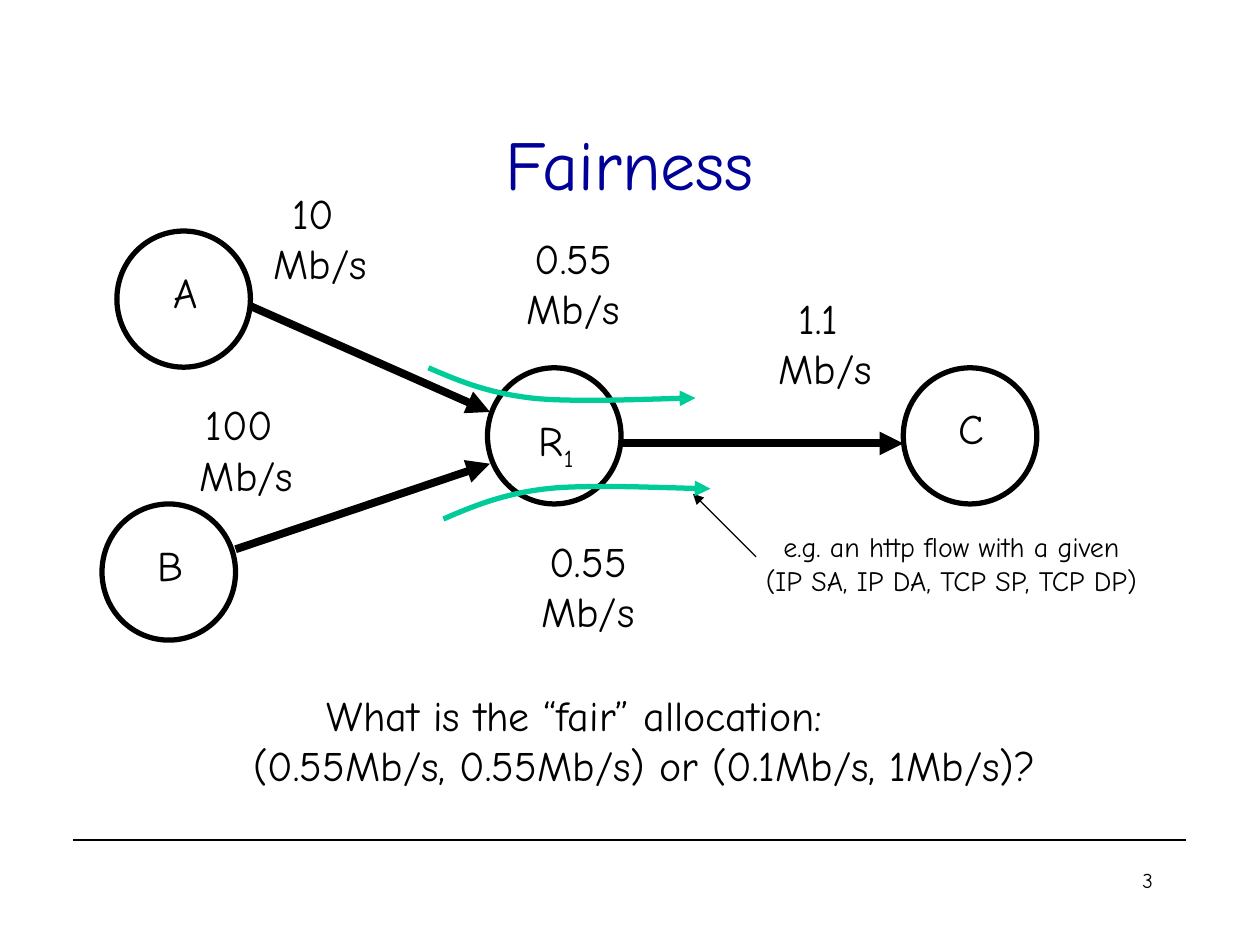
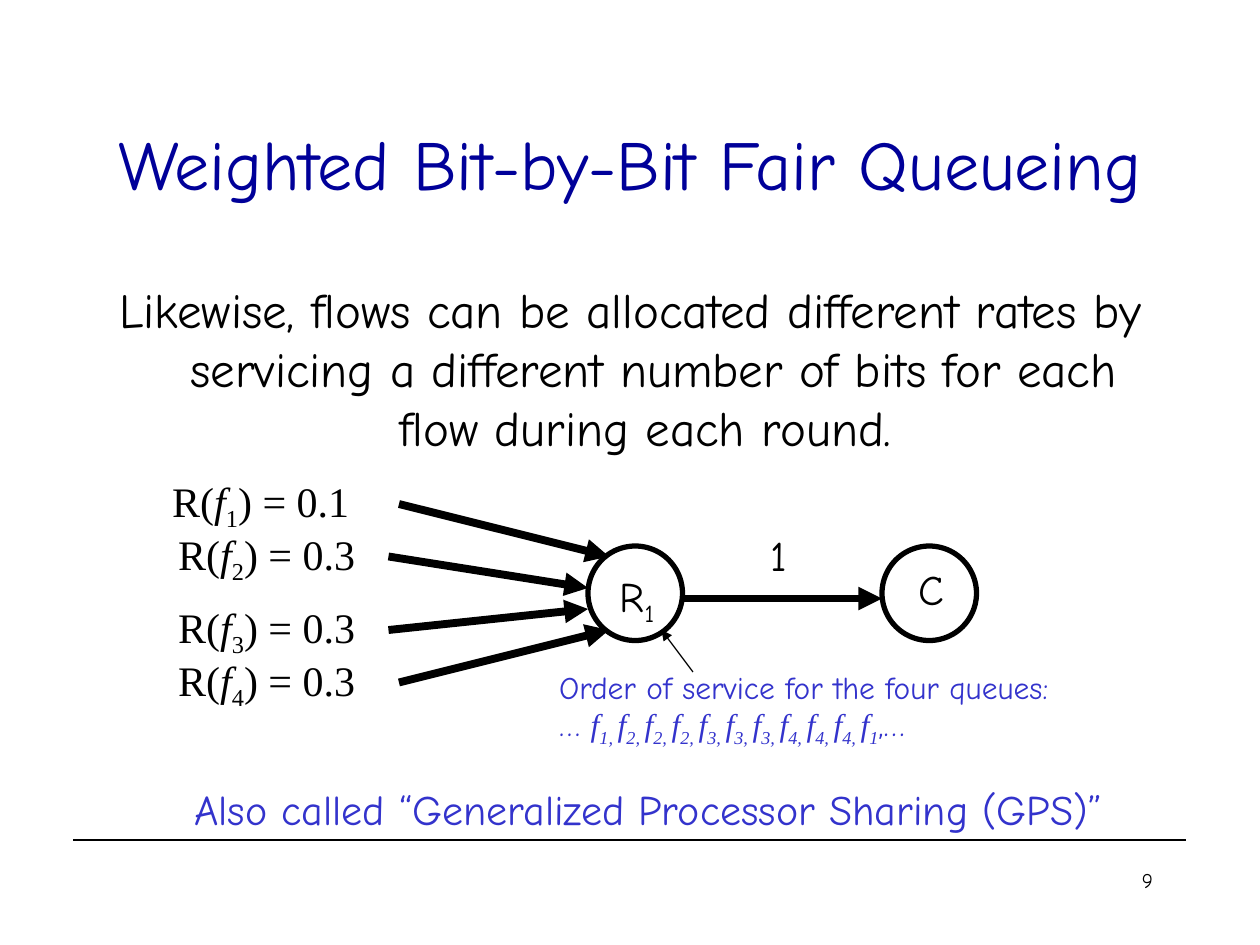
"""Builds two slides on fair bandwidth sharing and weighted fair queueing."""
from dataclasses import dataclass, field
from typing import Any

from pptx import Presentation
from pptx.dml.color import RGBColor
from pptx.enum.shapes import MSO_CONNECTOR as CONN, MSO_SHAPE as SHAPE
from pptx.enum.text import MSO_ANCHOR as ANCHOR, MSO_AUTO_SIZE as FIT, PP_ALIGN as ALIGN
from pptx.oxml.ns import qn
from pptx.oxml.xmlchemy import OxmlElement
from pptx.slide import Slide
from pptx.util import Pt

Point = tuple[float, float]


@dataclass(frozen=True)
class Theme:
    font: str = "Comic Neue"
    math_font: str = "Times New Roman"
    ink: str = "000000"
    title: str = "000099"
    accent: str = "3333CC"
    flow: str = "00CC99"
    title_size: float = 40
    body_size: float = 28
    label_size: float = 24
    order_size: float = 18
    note_size: float = 16
    number_size: float = 12
    link_width: float = 4.5
    outline_width: float = 3
    thin_width: float = 0.7


THEME = Theme()


@dataclass(frozen=True)
class Run:
    text: str
    sub: bool = False
    fmt: dict[str, Any] = field(default_factory=dict)


@dataclass(frozen=True)
class Para:
    runs: list[Run]
    left: float = 0
    first: float = 0
    before: float = 0


@dataclass(frozen=True)
class Label:
    left: float
    top: float
    width: float
    height: float
    paras: list[Para]
    size: float = THEME.label_size
    color: str = THEME.ink
    align: ALIGN = ALIGN.CENTER
    anchor: ANCHOR = ANCHOR.MIDDLE
    wrap: bool = False


@dataclass(frozen=True)
class Node:
    left: float
    top: float
    width: float
    height: float
    runs: list[Run]
    label_shift: float


@dataclass(frozen=True)
class Arrow:
    start: Point
    end: Point
    width: float = THEME.link_width
    head: bool = True


@dataclass(frozen=True)
class Flow:
    start: Point
    bend: int


MATH = {"name": THEME.math_font}
MATH_ITALIC = {"name": THEME.math_font, "italic": True}
ROUTER = [Run("R"), Run("1", sub=True)]
FLOW_CURVES = [
    [(0, 0), (16.6, 7.2), (33.8, 14.4), (59, 17.3)],
    [(59, 17.3), (84.6, 20.2), (136.8, 17.3), (152.6, 17.3)],
]
CURVE_STEPS = 16


def plain(*lines: str) -> list[Para]:
    """Make one plain paragraph of each line."""
    return [Para([Run(line)]) for line in lines]


def add_label(slide: Slide, label: Label) -> None:
    """Draw a text box."""
    s = slide.shapes.add_textbox(
        *map(Pt, (label.left, label.top, label.width, label.height)))
    tf = s.text_frame
    frame = {"word_wrap": label.wrap, "vertical_anchor": label.anchor,
             "auto_size": FIT.NONE if label.wrap else FIT.SHAPE_TO_FIT_TEXT}
    for name, value in frame.items():
        setattr(tf, name, value)
    for i, para in enumerate(label.paras):
        p = tf.add_paragraph() if i else tf.paragraphs[0]
        for name, value in {"alignment": label.align, "space_before": Pt(para.before)}.items():
            setattr(p, name, value)
        if para.left:
            pPr = p._p.get_or_add_pPr()
            pPr.set("marL", str(Pt(para.left)))
            pPr.set("indent", str(Pt(para.first)))
        for run in para.runs:
            r = p.add_run()
            r.text = run.text
            base = {"name": THEME.font, "size": Pt(label.size)}
            for name, value in (base | run.fmt).items():
                setattr(r.font, name, value)
            r.font.color.rgb = RGBColor.from_string(label.color)
            if run.sub:
                r._r.get_or_add_rPr().set("baseline", "-25000")


def style_line(s: Any, color: str, width: float, head: bool = False) -> None:
    """Set the line of a shape, with an arrowhead if wanted."""
    s.line.color.rgb = RGBColor.from_string(color)
    s.line.width = Pt(width)
    if head:
        tail = OxmlElement("a:tailEnd")
        tail.set("type", "triangle")
        s._element.spPr.find(qn("a:ln")).append(tail)


def add_arrow(slide: Slide, arrow: Arrow) -> None:
    """Draw a straight line or arrow."""
    s = slide.shapes.add_connector(CONN.STRAIGHT, *map(Pt, arrow.start + arrow.end))
    style_line(s, THEME.ink, arrow.width, arrow.head)
    s._element.spPr.append(OxmlElement("a:effectLst"))


def add_node(slide: Slide, node: Node) -> None:
    """Draw a round network node and its name."""
    s = slide.shapes.add_shape(
        SHAPE.OVAL, *map(Pt, (node.left, node.top, node.width, node.height)))
    s.shadow.inherit = False
    s.fill.background()
    style_line(s, THEME.ink, THEME.outline_width)
    width, height = (34, 40) if len(node.runs) > 1 else (29, 36)
    add_label(slide, Label(node.left + (node.width - width) / 2 + 1,
                           node.top + (node.height - height) / 2 + node.label_shift,
                           width, height, [Para(node.runs)]))


def bezier(points: list[Point], t: float) -> Point:
    """Find the point at t on a cubic curve."""
    weights = ((1 - t) ** 3, 3 * t * (1 - t) ** 2, 3 * t * t * (1 - t), t ** 3)
    return (sum(w * x for w, (x, _) in zip(weights, points)),
            sum(w * y for w, (_, y) in zip(weights, points)))


def add_flow(slide: Slide, flow: Flow) -> None:
    """Draw a curved flow arrow, bending down for 1 and up for -1."""
    x0, y0 = flow.start
    curve = [bezier(points, i / CURVE_STEPS)
             for points in FLOW_CURVES for i in range(1, CURVE_STEPS + 1)]
    builder = slide.shapes.build_freeform(Pt(x0), Pt(y0))
    builder.add_line_segments(
        [(Pt(x0 + x), Pt(y0 + flow.bend * y)) for x, y in curve], close=False)
    s = builder.convert_to_shape()
    s.shadow.inherit = False
    s.fill.background()
    style_line(s, THEME.flow, THEME.outline_width, head=True)


def add_slide(prs: Any, title: str, number: int) -> Slide:
    """Add a slide with title, footer rule and number."""
    slide = prs.slides.add_slide(prs.slide_layouts[6])
    add_arrow(slide, Arrow((42, 480), (678, 480), THEME.thin_width, head=False))
    add_label(slide, Label(54, 48, 612, 90, plain(title), THEME.title_size,
                           THEME.title, wrap=True))
    add_label(slide, Label(516, 492, 150, 36, plain(str(number)), THEME.number_size,
                           align=ALIGN.RIGHT, anchor=ANCHOR.TOP, wrap=True))
    return slide


def build_fairness(prs: Any) -> None:
    """Build the slide on sharing a bottleneck link."""
    slide = add_slide(prs, "Fairness", 3)
    for left, top, runs, shift in (
        (278.6, 210.2, ROUTER, 4.3),
        (516.2, 210.2, [Run("C")], -4.7),
        (66.8, 132, [Run("A")], -4),
        (58.3, 288, [Run("B")], -4.3),
    ):
        add_node(slide, Node(left, top, 76.3, 77.8, runs, shift))
    for arrow in (
        Arrow((355, 253.4), (516.2, 253.4)),
        Arrow((143.3, 175), (280, 235.4)),
        Arrow((134.6, 313.9), (280, 265)),
        Arrow((432, 318.2), (396, 282.2), THEME.thin_width),
    ):
        add_arrow(slide, arrow)
    for flow in (Flow((253.4, 296.6), -1), Flow((244.8, 210.2), 1)):
        add_flow(slide, flow)
    for left, top, rate in (
        (437.8, 163.6, "1.1 "),
        (149.2, 103.3, "10 "),
        (107.1, 224.2, "100 "),
        (293.8, 129.2, "0.55"),
        (302.2, 302.4, "0.55"),
    ):
        add_label(slide, Label(left, top, 67.7, 64.8, plain(rate, "Mb/s")))
    question = plain("What is the “fair” allocation: ") + [
        Para([Run("(0.55Mb/s, 0.55Mb/s) or (0.1Mb/s, 1Mb/s)?")], left=72)]
    add_label(slide, Label(50.3, 390.5, 564, 64.8, question, anchor=ANCHOR.TOP, wrap=True))
    example = plain("e.g. an http flow with a given", "(IP SA, IP DA, TCP SP, TCP DP)")
    add_label(slide, Label(429.2, 299, 229, 46, example, THEME.note_size,
                           anchor=ANCHOR.TOP))


def service_order(flows: str) -> Para:
    """List the flows in the order in which they are served."""
    runs = [Run("… ")]
    for i, flow in enumerate(flows, 1):
        runs += [Run("f", fmt=MATH_ITALIC),
                 Run(flow if i == len(flows) else f"{flow}, ", True, MATH_ITALIC)]
    return Para(runs + [Run(",…")])


def build_weighted(prs: Any) -> None:
    """Build the slide on weighted queueing."""
    slide = add_slide(prs, "Weighted Bit-by-Bit Fair Queueing", 9)
    body = ("Likewise, flows can be allocated different rates by servicing "
            "a different number of bits for each flow during each round. ")
    add_label(slide, Label(54, 156.2, 612, 110, [Para([Run(body)], 27, -27, 7)],
                           THEME.body_size, anchor=ANCHOR.TOP, wrap=True))
    for left, runs, shift in ((336, ROUTER, 3.2), (504, [Run("C")], -2.8)):
        add_node(slide, Node(left, 312, 54, 54, runs, shift))
    queues = (
        (84, 267.8, "0.1", Arrow((228, 288), (348, 318))),
        (87.4, 298.1, "0.3", Arrow((222, 318), (336, 336))),
        (87.4, 339.8, "0.3", Arrow((222, 360), (336, 348))),
        (87.4, 370.1, "0.3", Arrow((228, 390), (348, 360))),
    )
    for i, (left, top, rate, arrow) in enumerate(queues, 1):
        runs = [Run("R(", fmt=MATH), Run("f", fmt=MATH_ITALIC),
                Run(str(i), True, MATH), Run(f") = {rate}", fmt=MATH)]
        add_label(slide, Label(left, top, 130, 40.3, [Para(runs)], wrap=True))
        add_arrow(slide, arrow)
    add_arrow(slide, Arrow((390, 342), (504, 342)))
    add_arrow(slide, Arrow((396, 384), (378, 360), THEME.thin_width))
    add_label(slide, Label(433, 299, 24, 36, plain("1")))
    order = plain("Order of service for the four queues:") + [service_order("12223334441")]
    gps = plain("Also called “Generalized Processor Sharing (GPS)”")
    for label in (
        Label(312.5, 378, 295.2, 53.3, order, THEME.order_size, THEME.accent,
              ALIGN.LEFT, ANCHOR.TOP),
        Label(104, 444, 534.2, 36, gps, THEME.label_size, THEME.accent,
              ALIGN.LEFT, ANCHOR.TOP),
    ):
        add_label(slide, label)


def main() -> None:
    """Build and save the presentation."""
    prs = Presentation()
    prs.slide_width, prs.slide_height = Pt(720), Pt(540)
    build_fairness(prs)
    build_weighted(prs)
    prs.save("out.pptx")


if __name__ == "__main__":
    main()
